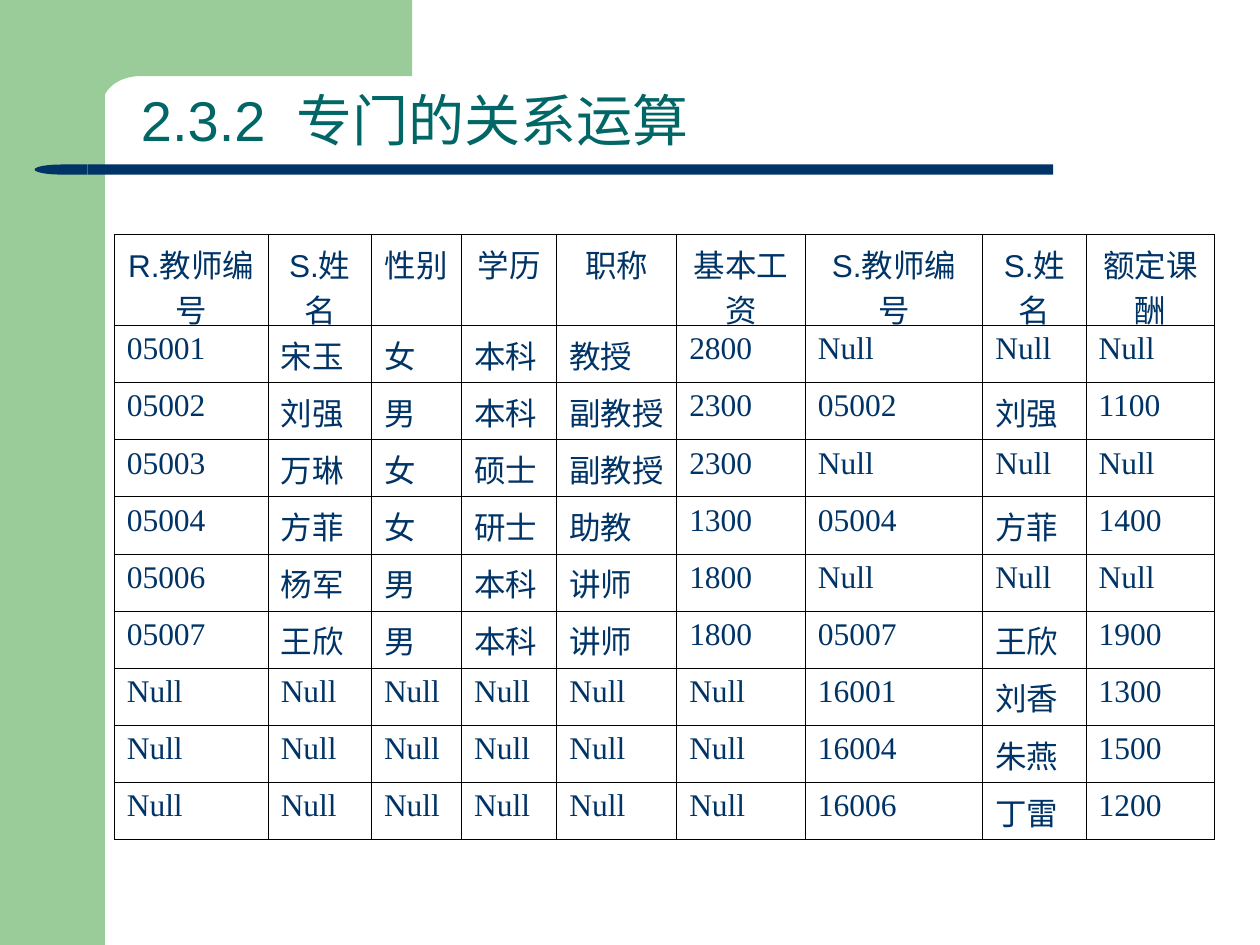
import math
from dataclasses import dataclass

from pptx import Presentation
from pptx.dml.color import RGBColor
from pptx.enum import shapes, text
from pptx.oxml import parse_xml
from pptx.oxml import ns
from pptx.util import Pt


@dataclass(frozen=True)
class Theme:
    green: str = "99CC99"
    navy: str = "003366"
    teal: str = "006666"
    border: str = "000000"
    border_width: float = 0.45
    heading_font: str = "Arial"
    data_font: str = "Times New Roman"
    title_size: float = 32
    table_size: float = 18


THEME = Theme()
TITLE = "2.3.2  专门的关系运算"
COLUMN_WIDTHS = [88, 59, 51.5, 54.5, 68.5, 73.5, 101.5, 59, 73.5]
HEADER_HEIGHT = 52
ROW_HEIGHT = 32.64
HEADERS = ["R.教师编号", "S.姓名", "性别", "学历", "职称", "基本工资",
           "S.教师编号", "S.姓名", "额定课酬"]
NO_TEACHER = ["Null"] * 6
NO_LECTURE = ["Null"] * 3
RECORDS = [
    ["05001", "宋玉", "女", "本科", "教授", "2800", *NO_LECTURE],
    ["05002", "刘强", "男", "本科", "副教授", "2300", "05002", "刘强", "1100"],
    ["05003", "万琳", "女", "硕士", "副教授", "2300", *NO_LECTURE],
    ["05004", "方菲", "女", "研士", "助教", "1300", "05004", "方菲", "1400"],
    ["05006", "杨军", "男", "本科", "讲师", "1800", *NO_LECTURE],
    ["05007", "王欣", "男", "本科", "讲师", "1800", "05007", "王欣", "1900"],
    [*NO_TEACHER, "16001", "刘香", "1300"],
    [*NO_TEACHER, "16004", "朱燕", "1500"],
    [*NO_TEACHER, "16006", "丁雷", "1200"],
]


def paint(shape, color):
    shape.shadow.inherit = False
    shape.fill.solid()
    shape.fill.fore_color.rgb = RGBColor.from_string(color)
    shape.line.fill.background()


def add_block(parent, kind, left, top, width, height, color):
    block = parent.shapes.add_shape(kind, Pt(left), Pt(top), Pt(width), Pt(height))
    paint(block, color)
    return block


def add_run(paragraph, wording, font, size, color):
    run = paragraph.add_run()
    run.text = wording
    run.font.name = font
    run.font.size = Pt(size)
    run.font.color.rgb = RGBColor.from_string(color)


def add_corner(slide):
    left, right, inner, top, bottom = 36, 235.5, 58.5, 43.5, 65.5
    radius_x, radius_y = 21.5, 16.5
    steps = 16
    angles = [math.pi / 2 * step / steps for step in range(steps + 1)]
    curve = [(inner + radius_x * (1 - math.sin(angle)),
              top + radius_y * (1 - math.cos(angle))) for angle in angles]
    outline = [(right, top), *curve, (inner, bottom), (left, bottom), (left, 0)]
    builder = slide.shapes.build_freeform(Pt(right), Pt(0))
    builder.add_line_segments([(Pt(x), Pt(y)) for x, y in outline], close=True)
    paint(builder.convert_to_shape(), THEME.green)


def add_rule(slide):
    rule = slide.shapes.add_group_shape()
    top, height, joint = 94, 5.75, 50
    add_block(rule, shapes.MSO_SHAPE.RECTANGLE, joint, top, 551.75, height, THEME.navy)
    tip = add_block(rule, shapes.MSO_SHAPE.FLOWCHART_DELAY, 19.75, top,
                    joint - 19.75, height, THEME.navy)
    tip._element.spPr.xfrm.set("flipH", "1")


def add_title(slide):
    frame = slide.shapes.add_textbox(Pt(73.5), Pt(52), Pt(589.5), Pt(39.5)).text_frame
    frame.word_wrap = True
    frame.vertical_anchor = text.MSO_ANCHOR.BOTTOM
    paragraph = frame.paragraphs[0]
    paragraph.line_spacing = 0.9
    add_run(paragraph, TITLE, THEME.heading_font, THEME.title_size, THEME.teal)


def set_borders(cell):
    properties = cell._tc.get_or_add_tcPr()
    for position, side in enumerate(("lnL", "lnR", "lnT", "lnB")):
        properties.insert(position, parse_xml(
            f'<a:{side} {ns.nsdecls("a")} w="{Pt(THEME.border_width)}">'
            f'<a:solidFill><a:srgbClr val="{THEME.border}"/></a:solidFill></a:{side}>'))


def fill_cell(cell, wording, is_header):
    cell.fill.background()
    set_borders(cell)
    paragraph = cell.text_frame.paragraphs[0]
    paragraph.alignment = text.PP_ALIGN.CENTER if is_header else text.PP_ALIGN.LEFT
    font = THEME.heading_font if is_header else THEME.data_font
    add_run(paragraph, wording, font, THEME.table_size, THEME.navy)


def add_join_table(slide):
    rows = [HEADERS, *RECORDS]
    height = HEADER_HEIGHT + ROW_HEIGHT * len(RECORDS)
    table = slide.shapes.add_table(len(rows), len(HEADERS), Pt(65.25), Pt(134),
                                   Pt(sum(COLUMN_WIDTHS)), Pt(height)).table
    table.first_row = False
    table.horz_banding = False
    for column, width in zip(table.columns, COLUMN_WIDTHS):
        column.width = Pt(width)
    for index, record in enumerate(rows):
        table.rows[index].height = Pt(ROW_HEIGHT if index else HEADER_HEIGHT)
        for position, wording in enumerate(record):
            fill_cell(table.cell(index, position), wording, index == 0)


def main():
    deck = Presentation()
    deck.slide_width, deck.slide_height = Pt(720), Pt(540)
    slide = deck.slides.add_slide(deck.slide_layouts[6])
    add_block(slide, shapes.MSO_SHAPE.RECTANGLE, 0, 0, 60, 540, THEME.green)
    add_corner(slide)
    add_rule(slide)
    add_title(slide)
    add_join_table(slide)
    deck.save("out.pptx")


if __name__ == "__main__":
    main()
